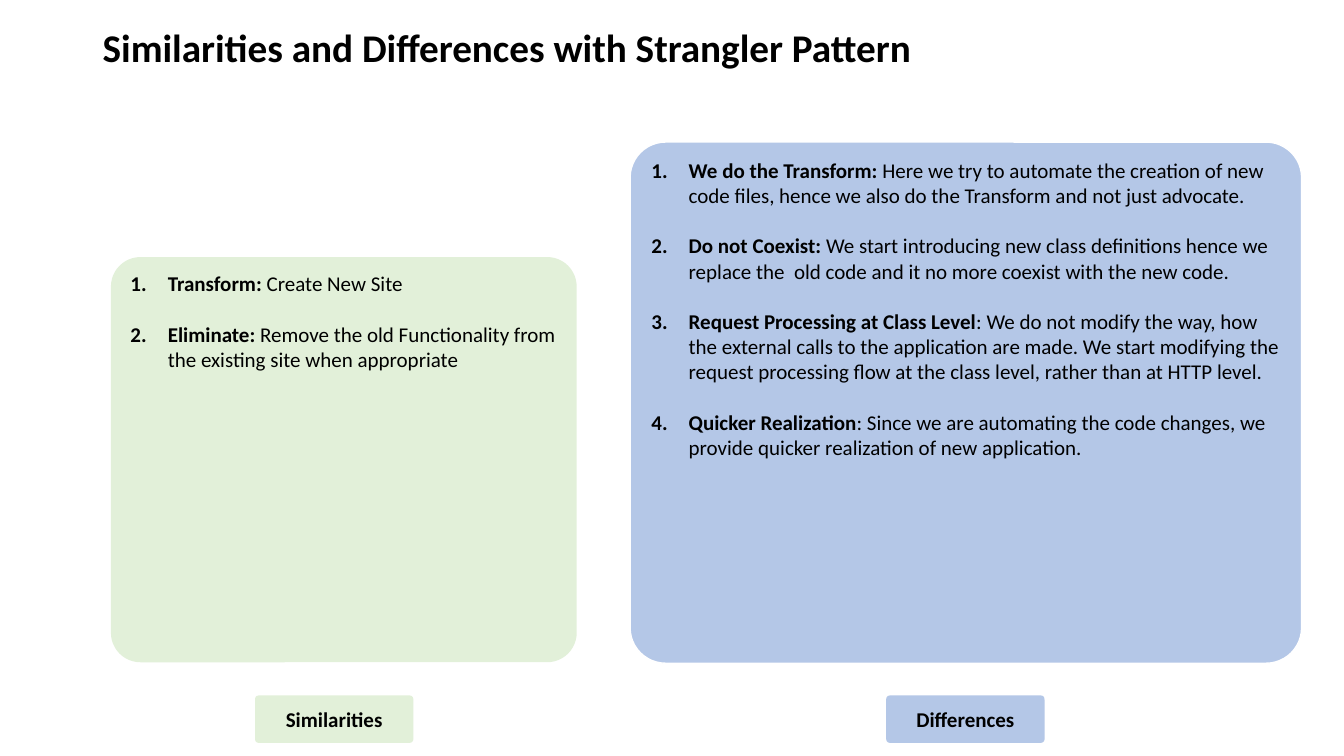
"""Build a slide comparing an approach with the Strangler Pattern."""
from lxml import etree
from pptx import Presentation
from pptx.dml.color import RGBColor
from pptx.enum.shapes import MSO_SHAPE
from pptx.enum.text import MSO_ANCHOR, PP_ALIGN
from pptx.oxml.ns import qn
from pptx.util import Inches, Pt


def color(value):
    return RGBColor.from_string(value)


def add_text(p, text, size=15, bold=False, font="Calibri", fill="000000"):
    r = p.add_run()
    r.text = text
    r.font.size = Pt(size)
    r.font.bold = bold
    r.font.name = font
    r.font.color.rgb = color(fill)


prs = Presentation()
prs.slide_width, prs.slide_height = Inches(13.33), Inches(7.5)
s = prs.slides.add_slide(prs.slide_layouts[6])

title = s.shapes.add_textbox(Inches(0.92), Inches(-0.23), Inches(11.5), Inches(1.45))
tf = title.text_frame
tf.word_wrap = True
tf.vertical_anchor = MSO_ANCHOR.MIDDLE
p = tf.paragraphs[0]
p.line_spacing = 0.9
add_text(p, "Similarities and Differences with Strangler Pattern", size=28, bold=True)

similarities = [
    ("Transform: ", "Create New Site"),
    ("Eliminate: ", "Remove the old Functionality from the existing site when appropriate"),
]
differences = [
    ("We do the Transform: ", "Here we try to automate the creation of new code files, "
     "hence we also do the Transform and not just advocate."),
    ("Do not Coexist: ", "We start introducing new class definitions hence we replace "
     "the  old code and it no more coexist with the new code."),
    ("Request Processing at Class Level", ": We do not modify the way, how the external "
     "calls to the application are made. We start modifying the request processing flow "
     "at the class level, rather than at HTTP level."),
    ("Quicker Realization", ": Since we are automating the code changes, we provide "
     "quicker realization of new application."),
]
label_size = (6.9, 1.57, 0.47)
boxes = [
    ((1.1, 2.55, 4.62, 4.02), 0.073, "E2F0D9", None, similarities),
    ((6.25, 1.41, 6.66, 5.17), 0.068, "B4C7E7", "FFFFFF", differences),
    ((2.53, *label_size), 0.073, "E2F0D9", None, [("Similarities", "")]),
    ((8.79, *label_size), 0.073, "B4C7E7", None, [("Differences", "")]),
]

for place, radius, fill, line, items in boxes:
    sp = s.shapes.add_shape(MSO_SHAPE.ROUNDED_RECTANGLE, *map(Inches, place))
    sp.adjustments[0] = radius
    sp.shadow.inherit = False
    sp.fill.solid()
    sp.fill.fore_color.rgb = color(fill)
    if line:
        sp.line.color.rgb = color(line)
        sp.line.width = Pt(1)
    else:
        sp.line.fill.background()
    is_label = len(items) == 1
    tf = sp.text_frame
    tf.word_wrap = True
    tf.vertical_anchor = MSO_ANCHOR.MIDDLE if is_label else MSO_ANCHOR.TOP
    for i, (heading, detail) in enumerate(items):
        p = tf.paragraphs[0] if i == 0 else tf.add_paragraph()
        p.alignment = PP_ALIGN.CENTER if is_label else PP_ALIGN.LEFT
        add_text(p, heading, bold=True)
        if is_label:
            continue
        add_text(p, detail)
        p.space_before = Pt(18 if i else 0)
        pPr = p._p.get_or_add_pPr()
        pPr.set("marL", str(Inches(0.38)))
        pPr.set("indent", str(Inches(-0.37)))
        bullet_color = etree.SubElement(pPr, qn("a:buClr"))
        etree.SubElement(bullet_color, qn("a:srgbClr"), val="000000")
        etree.SubElement(pPr, qn("a:buFont"), typeface="+mj-lt")
        etree.SubElement(pPr, qn("a:buAutoNum"), type="arabicPeriod")

prs.save("out.pptx")
